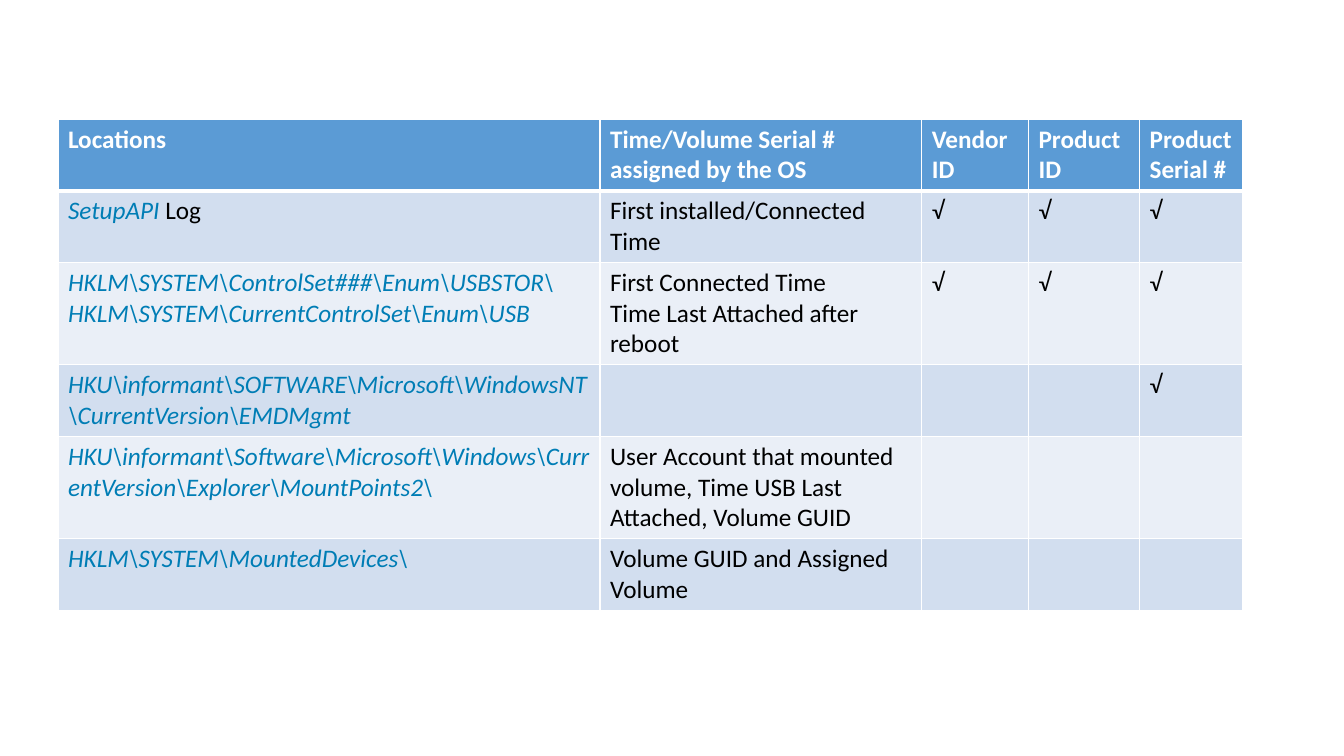
from lxml import etree
from pptx import Presentation
from pptx.dml.color import RGBColor
from pptx.oxml.ns import qn
from pptx.util import Cm, Pt

WHITE = RGBColor(0xFF, 0xFF, 0xFF)
BLACK = RGBColor(0x00, 0x00, 0x00)
HEADER_BLUE = RGBColor(0x5B, 0x9B, 0xD5)
BAND_DARK = RGBColor(0xD2, 0xDE, 0xEF)
BAND_LIGHT = RGBColor(0xEA, 0xEF, 0xF7)
PATH_BLUE = RGBColor(0x00, 0x7D, 0xB5)

BASE = {"name": "Calibri", "size": Pt(18), "bold": False, "italic": False}
HEADER = {**BASE, "bold": True, "color": WHITE}
BODY = {**BASE, "color": BLACK}
LOCATION = {**BASE, "italic": True, "color": PATH_BLUE}

COLUMN_WIDTHS = [13.66, 8.11, 2.69, 2.8, 2.59]
ROW_HEIGHTS = [1.78, 1.78, 2.55, 1.78, 2.55, 1.78]
THIN, THICK = 1, 3

HEADINGS = [
    "Locations",
    "Time/Volume Serial # assigned by the OS",
    "Vendor ID",
    "Product ID",
    "Product\nSerial #",
]
SOURCES = [
    ("SetupAPI ", "First installed/Connected Time", "√", "√", "√"),
    (
        "HKLM\\SYSTEM\\ControlSet###\\Enum\\USBSTOR\\\n"
        "HKLM\\SYSTEM\\CurrentControlSet\\Enum\\USB",
        "First Connected Time\nTime Last Attached after reboot",
        "√", "√", "√",
    ),
    (
        "HKU\\informant\\SOFTWARE\\Microsoft\\WindowsNT\\CurrentVersion\\EMDMgmt",
        "", "", "", "√",
    ),
    (
        "HKU\\informant\\Software\\Microsoft\\Windows\\CurrentVersion"
        "\\Explorer\\MountPoints2\\",
        "User Account that mounted volume, Time USB Last Attached, Volume GUID",
        "", "", "",
    ),
    (
        "HKLM\\SYSTEM\\MountedDevices\\",
        "Volume GUID and Assigned Volume",
        "", "", "",
    ),
]


class SlideBuilder:
    def __init__(self, prs):
        self.slide = prs.slides.add_slide(prs.slide_layouts[6])

    def run(self, p, text, style):
        r = p.add_run()
        r.text = text
        for key, value in style.items():
            if key == "color":
                r.font.color.rgb = value
            else:
                setattr(r.font, key, value)

    def borders(self, cell, widths):
        tc_pr = cell._tc.get_or_add_tcPr()
        for side, width in widths.items():
            ln = etree.SubElement(tc_pr, qn(f"a:ln{side}"), w=str(Pt(width)))
            fill = etree.SubElement(ln, qn("a:solidFill"))
            etree.SubElement(fill, qn("a:srgbClr"), val=str(WHITE))

    def cell(self, cell, text, style, fill, widths):
        self.borders(cell, widths)
        cell.fill.solid()
        cell.fill.fore_color.rgb = fill
        tf = cell.text_frame
        for i, line in enumerate(text.split("\n")):
            p = tf.add_paragraph() if i else tf.paragraphs[0]
            if line:
                self.run(p, line, style)

    def table(self, left, top, rows):
        frame = self.slide.shapes.add_table(
            len(rows), len(COLUMN_WIDTHS), Cm(left), Cm(top),
            Cm(sum(COLUMN_WIDTHS)), Cm(sum(ROW_HEIGHTS)),
        )
        table = frame.table
        for column, width in zip(table.columns, COLUMN_WIDTHS):
            column.width = Cm(width)
        for i, (row, height) in enumerate(zip(rows, ROW_HEIGHTS)):
            table.rows[i].height = Cm(height)
            band = BAND_DARK if i % 2 else BAND_LIGHT
            fill = band if i else HEADER_BLUE
            widths = {
                "L": THIN,
                "R": THIN,
                "T": THICK if i == 1 else THIN,
                "B": THIN if i else THICK,
            }
            for j, text in enumerate(row):
                style = (BODY if j else LOCATION) if i else HEADER
                self.cell(table.cell(i, j), text, style, fill, widths)
        return table


def main():
    prs = Presentation()
    prs.slide_width, prs.slide_height = Cm(33.87), Cm(19.05)
    s = SlideBuilder(prs)
    table = s.table(1.46, 3.0, [HEADINGS, *SOURCES])
    s.run(table.cell(1, 0).text_frame.paragraphs[0], "Log", BODY)
    prs.save("out.pptx")


if __name__ == "__main__":
    main()
